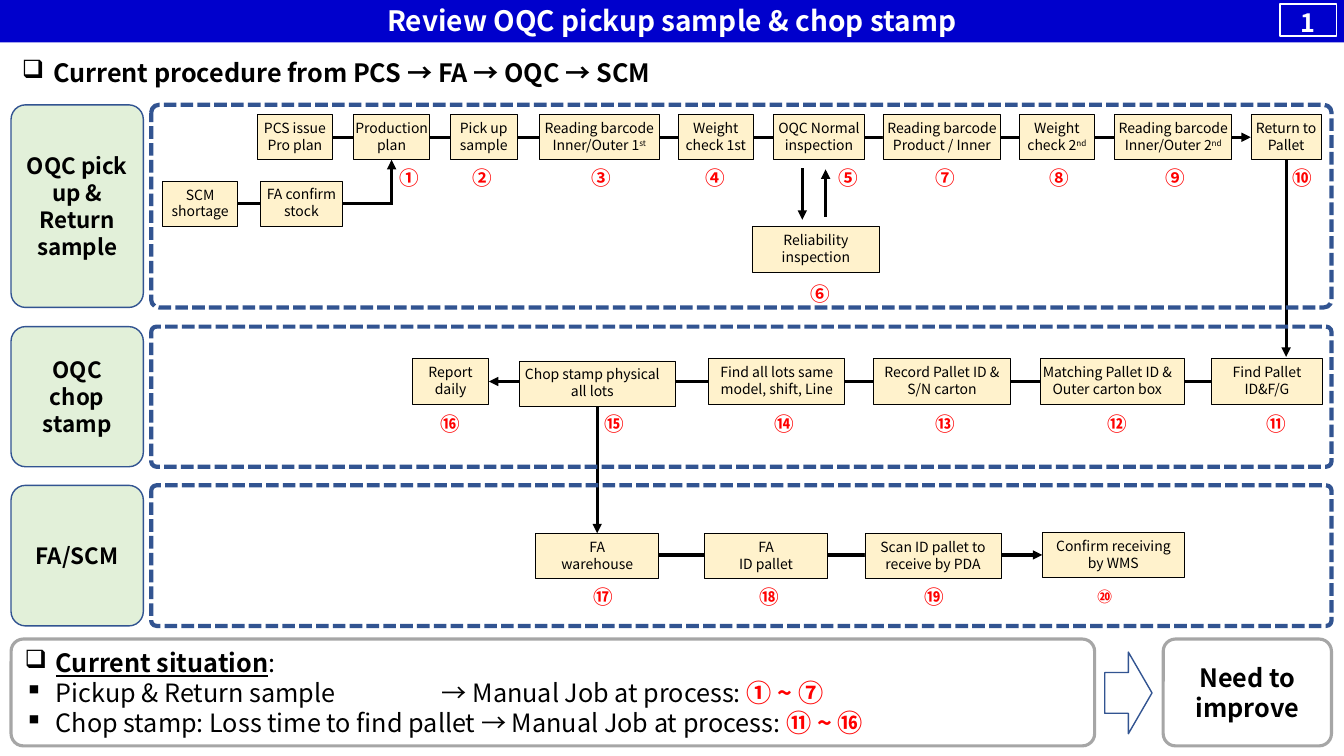
from lxml import etree
from pptx import Presentation
from pptx.dml.color import RGBColor
from pptx.enum import dml, shapes, text
from pptx.oxml import ns
from pptx.util import Pt

FONT = "Noto Sans CJK JP"
COLORS = {
    "black": "000000", "white": "FFFFFF", "red": "FF0000", "banner": "0000CC",
    "step": "FFF2CC", "lane": "E2F0D9", "navy": "325491", "gray": "A6A6A6",
}
RECT = shapes.MSO_SHAPE.RECTANGLE
ROUND = shapes.MSO_SHAPE.ROUNDED_RECTANGLE
TOP, LEFT, BOTTOM, RIGHT = range(4)
STEP_HEIGHT = 32.4
NARROW, WIDE, SKEWED = (0, 0), (7.2, 7.2), (0, 7.2)

STEPS = [
    ("PCS issue Pro plan", 183.6, 81.8, 54, NARROW),
    ("Production plan", 252.7, 81.8, 54, NARROW),
    ("Pick up sample", 321.8, 81.8, 47.5, NARROW),
    ("Reading barcode Inner/Outer 1^st", 385.2, 81.8, 85.7, NARROW),
    ("Weight check 1st", 484.6, 81.8, 53.3, NARROW),
    ("OQC Normal inspection", 552.2, 81.8, 65.5, NARROW),
    ("Reading barcode\vProduct / Inner", 630.7, 81.8, 84.2, NARROW),
    ("Weight check 2^nd", 727.9, 81.8, 54, NARROW),
    ("Reading barcode\vInner/Outer 2^nd", 796.3, 81.8, 83.5, NARROW),
    ("Return to Pallet", 893.5, 81.8, 50.4, NARROW),
    ("SCM shortage", 115.9, 129.4, 54, NARROW),
    ("FA confirm stock", 185.8, 129.2, 59, NARROW),
    ("Reliability\ninspection", 537.1, 162, 91.4, NARROW),
    ("Find Pallet ID&F/G", 865.4, 256.3, 79.2, WIDE),
    ("Matching Pallet ID & Outer carton box", 743, 256.3, 103, SKEWED),
    ("Record Pallet ID & S/N carton", 624.2, 256.3, 97.2, WIDE),
    ("Find all lots same model, shift, Line", 506.2, 256.3, 97.2, NARROW),
    ("Chop stamp physical\vall lots", 370.8, 257.8, 111.6, SKEWED),
    ("Report daily", 294.5, 256.3, 54.7, WIDE),
    ("FA\nwarehouse", 382.7, 380.9, 87.8, WIDE),
    ("FA\nID pallet", 503.3, 380.9, 87.8, WIDE),
    ("Scan ID pallet to receive by PDA", 617.8, 380.9, 97.2, WIDE),
    ("Confirm receiving by WMS", 744.5, 380.2, 101.5, WIDE),
]
ROUNDED_STEPS = ("Scan ID pallet to receive by PDA", "Confirm receiving by WMS")
NUMBER_ROWS = [
    (126.7, "①②③④⑤⑦⑧⑨⑩", [292.7, 344.5, 429.5, 510.8, 606.2, 675, 756.7, 839.5, 930.2]),
    (209.5, "⑥", [586.1]),
    (302.6, "⑪⑫⑬⑭⑮⑯", [911.5, 797.8, 675.4, 560.2, 438.5, 321.8]),
    (426.5, "⑰⑱⑲⑳", [431.3, 549.4, 667.4, 789.1]),
]
ARROWS = [
    ((169.9, 145.6), (280.8, 145.6), False, ("SCM shortage", RIGHT), None),
    ((426.6, 290.2), (426.6, 380.9), True,
     ("Chop stamp physical\vall lots", BOTTOM), ("FA\nwarehouse", TOP)),
    ((431.3, 396.4), (744.5, 396.4), True, None, ("Confirm receiving by WMS", LEFT)),
    ((877.7, 272.5), (349.2, 272.5), True, None, ("Report daily", RIGHT)),
    ((216.7, 98), (893.5, 98), True, None, ("Return to Pallet", LEFT)),
    ((918.7, 114.2), (918.7, 254.9), True, ("Return to Pallet", BOTTOM), None),
    ((279.7, 145.6), (279.7, 114.2), True, None, ("Production plan", BOTTOM)),
    ((573.1, 120.2), (573.1, 157), True, None, None),
    ((589.7, 154.8), (589.7, 121), True, None, None),
]
LANES = [
    ("OQC pick up & Return sample", 74.9, 144.7),
    ("OQC chop stamp", 233.3, 100.1),
    ("FA/SCM", 346.7, 100.4),
]


def rgb(name):
    return RGBColor.from_string(COLORS[name])


def add_xml(parent, tag, **attributes):
    return etree.SubElement(parent, ns.qn(tag), attributes)


def add_span(para, words, size=10, color="black", bold=False, underline=False, raised=False):
    span = para.add_run()
    span.text = words
    span.font.name = FONT
    span.font.size = Pt(size)
    span.font.bold = bold
    span.font.underline = underline
    span.font.color.rgb = rgb(color)
    properties = span._r.get_or_add_rPr()
    add_xml(properties, "a:ea", typeface=FONT)
    if raised:
        properties.set("baseline", "30000")


def write(box, words, **style):
    for index, line in enumerate(words.split("\n")):
        para = box.text_frame.paragraphs[0] if index == 0 else box.text_frame.add_paragraph()
        para.alignment = text.PP_ALIGN.CENTER
        for row, part in enumerate(line.split("\v")):
            if row:
                para.add_line_break()
            base, _, suffix = part.partition("^")
            add_span(para, base, **style)
            if suffix:
                add_span(para, suffix, raised=True, **style)


def set_frame(box, insets=(7.2, 3.6, 7.2, 3.6), anchor=text.MSO_ANCHOR.MIDDLE, wrap=True, grow=False):
    frame = box.text_frame
    frame.margin_left, frame.margin_top, frame.margin_right, frame.margin_bottom = map(Pt, insets)
    frame.vertical_anchor = anchor
    frame.word_wrap = wrap
    if grow:
        frame.auto_size = text.MSO_AUTO_SIZE.SHAPE_TO_FIT_TEXT


def add_box(page, kind, place, fill=None, line=None, width=1, corner=None):
    box = page.shapes.add_shape(kind, *map(Pt, place))
    box.shadow.inherit = False
    if fill:
        box.fill.solid()
        box.fill.fore_color.rgb = rgb(fill)
    else:
        box.fill.background()
    if line:
        box.line.color.rgb = rgb(line)
        box.line.width = Pt(width)
    else:
        box.line.fill.background()
    if corner is not None:
        box.adjustments[0] = corner
    set_frame(box)
    return box


def add_step(page, words, left, top, width, sides):
    kind, corner = (ROUND, 0) if words in ROUNDED_STEPS else (RECT, None)
    box = add_box(page, kind, (left, top, width, STEP_HEIGHT), "step", "black", 0.5, corner)
    wrap = not words.startswith("Reading barcode\v")
    set_frame(box, (sides[0], 3.6, sides[1], 3.6), text.MSO_ANCHOR.TOP, wrap, grow=True)
    write(box, words)
    return box


def add_line(page, start, end, arrow):
    line = page.shapes.add_connector(shapes.MSO_CONNECTOR.STRAIGHT, *map(Pt, start + end))
    line.line.color.rgb = rgb("black")
    line.line.width = Pt(2.25)
    if arrow:
        add_xml(line.line._get_or_add_ln(), "a:tailEnd", type="triangle")
    add_xml(line._element.spPr, "a:effectLst")
    return line


def add_number(page, words, center, middle):
    box = page.shapes.add_textbox(Pt(center - 25.2), Pt(middle - 15.5), Pt(50.4), Pt(31))
    set_frame(box)
    write(box, words, size=10.5 if words == "⑳" else 14, color="red", bold=True)


def add_lane(page, name, top, height):
    frame = add_box(page, ROUND, (108, top, 843.1, height), None, "navy", 3, 0.038)
    frame.line.dash_style = dml.MSO_LINE.SQUARE_DOT
    label = add_box(page, ROUND, (7.9, top, 94.5, height), "lane", "navy", 1, 0.11)
    write(label, name, size=16, bold=True)


def add_bullet(para, mark, tab=None):
    para.alignment = text.PP_ALIGN.LEFT
    properties = para._p.get_or_add_pPr()
    properties.set("marL", str(Pt(22.3)))
    properties.set("indent", str(-Pt(22.3)))
    add_xml(properties, "a:buChar", char=mark)
    if tab:
        add_xml(add_xml(properties, "a:tabLst"), "a:tab", pos=str(Pt(tab)), algn="l")


def add_summary(page):
    box = add_box(page, ROUND, (7.9, 456.5, 774, 76.3), None, "gray", 2.25, 0.115)
    set_frame(box, (7.2, 0, 7.2, 0))
    para = box.text_frame.paragraphs[0]
    add_bullet(para, "❑")
    add_span(para, "Current situation", size=18, bold=True, underline=True)
    add_span(para, ":", size=18)
    for words, numbers, tab in [
        ("Pickup & Return sample\t→ Manual Job at process: ", "① ~ ⑦", 298),
        ("Chop stamp: Loss time to find pallet → Manual Job at process: ", "⑪ ~ ⑯", None),
    ]:
        para = box.text_frame.add_paragraph()
        add_bullet(para, "▪", tab)
        add_span(para, words, size=18)
        add_span(para, numbers, size=18, color="red", bold=True)


def main():
    deck = Presentation()
    deck.slide_width, deck.slide_height = Pt(960), Pt(540)
    page = deck.slides.add_slide(deck.slide_layouts[6])

    banner = add_box(page, RECT, (0, -1.4, 960, 31.7), "banner")
    write(banner, "Review OQC pickup sample & chop stamp", size=20, color="white", bold=True)

    lines = [add_line(page, start, end, arrow) for start, end, arrow, _, _ in ARROWS]
    steps = {step[0]: add_step(page, *step) for step in STEPS}
    for line, (_, _, _, source, target) in zip(lines, ARROWS):
        if source:
            line.begin_connect(steps[source[0]], source[1])
        if target:
            line.end_connect(steps[target[0]], target[1])
    for middle, numbers, centers in NUMBER_ROWS:
        for number, center in zip(numbers, centers):
            add_number(page, number, center, middle)
    for lane in LANES:
        add_lane(page, *lane)

    heading = page.shapes.add_textbox(Pt(8.6), Pt(37.4), Pt(942.5), Pt(28.8))
    set_frame(heading, anchor=text.MSO_ANCHOR.TOP, grow=True)
    para = heading.text_frame.paragraphs[0]
    add_bullet(para, "❑")
    add_span(para, "Current procedure from PCS → FA → OQC → SCM", size=18, bold=True)

    add_summary(page)
    add_box(page, shapes.MSO_SHAPE.RIGHT_ARROW, (789.1, 465.8, 33.8, 58.3), None, "navy")
    verdict = add_box(page, ROUND, (830.9, 456.5, 120.2, 76.3), None, "gray", 2.25, 0.115)
    set_frame(verdict, (7.2, 0, 7.2, 0))
    write(verdict, "Need to improve", size=18, bold=True)
    page_number = add_box(page, RECT, (914.4, 2.9, 40.3, 23), None, "white")
    set_frame(page_number, (7.2, 3.6, 7.2, 0))
    write(page_number, "1", size=18, color="white", bold=True)
    deck.save("out.pptx")


if __name__ == "__main__":
    main()
